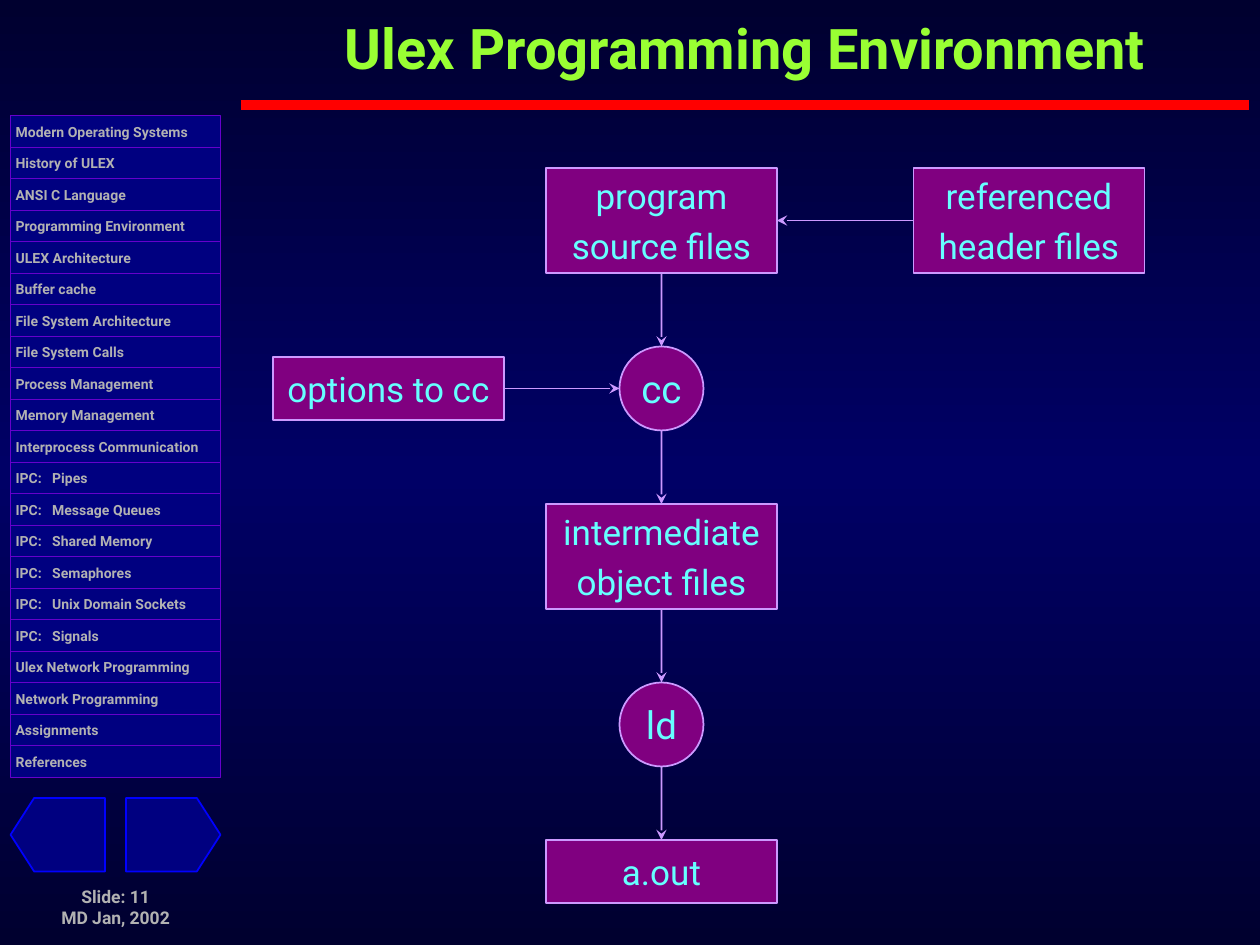
"""Build the Ulex Programming Environment slide on a grid of twelfths of an inch."""
from copy import deepcopy
from dataclasses import dataclass

from lxml import etree
from pptx import Presentation
from pptx import util as u
from pptx.dml.color import RGBColor
from pptx.enum import shapes, text
from pptx.oxml import ns

RECT, OVAL = shapes.MSO_SHAPE.RECTANGLE, shapes.MSO_SHAPE.OVAL
TOP, LEFT, BOTTOM, RIGHT = range(4)
SITES = {TOP: (0.5, 0), LEFT: (0, 0.5), BOTTOM: (0.5, 1), RIGHT: (1, 0.5)}
COLS, ROWS = 120, 90


@dataclass(frozen=True)
class Style:
    size: float
    color: str
    bold: bool = False
    align: text.PP_ALIGN = text.PP_ALIGN.CENTER
    anchor: text.MSO_ANCHOR = text.MSO_ANCHOR.MIDDLE
    insets: tuple[float, float, float, float] = (0.08, 0.06, 0.08, 0.06)
    wrap: bool = True
    gap: float = 0


@dataclass(frozen=True)
class Theme:
    font: str = "Roboto"
    backdrop: tuple[str, ...] = ("00002F", "000066", "00002F")
    rule: str = "FF0000"
    menu_fill: str = "000080"
    menu_line: str = "6600CC"
    button_line: str = "0000FF"
    node_fill: str = "800080"
    node_line: str = "CC99FF"
    title: Style = Style(32, "99FF33", True, insets=(0.04,) * 4)
    menu: Style = Style(8, "B2B2B2", True, text.PP_ALIGN.LEFT,
                        text.MSO_ANCHOR.TOP, (0.04, 0.06, 0.02, 0))
    footer: Style = Style(10, "B2B2B2", True, anchor=text.MSO_ANCHOR.TOP,
                          insets=(0.02, 0.03, 0.02, 0))
    box: Style = Style(20, "66FFFF", wrap=False, gap=5)
    circle: Style = Style(22, "66FFFF", wrap=False)


@dataclass(frozen=True)
class Node:
    lines: tuple[str, ...]
    col: float
    row: float
    cols: float = 22
    rows: float = 10
    kind: shapes.MSO_SHAPE = RECT

    def site(self, side: int) -> tuple[float, float]:
        """Return the grid point in the middle of a side."""
        x, y = SITES[side]
        return self.col + x * self.cols, self.row + y * self.rows


THEME = Theme()
MENU = ("Modern Operating Systems", "History of ULEX", "ANSI C Language",
        "Programming Environment", "ULEX Architecture", "Buffer cache",
        "File System Architecture", "File System Calls", "Process Management",
        "Memory Management", "Interprocess Communication", "IPC:\tPipes",
        "IPC:\tMessage Queues", "IPC:\tShared Memory", "IPC:\tSemaphores",
        "IPC:\tUnix Domain Sockets", "IPC:\tSignals", "Ulex Network Programming",
        "Network Programming", "Assignments", "References")
NODES = {
    "source": Node(("program", "source files"), 52, 16),
    "headers": Node(("referenced", "header files"), 87, 16),
    "options": Node(("options to cc",), 26, 34, rows=6),
    "cc": Node(("cc",), 59, 33, 8, 8, OVAL),
    "objects": Node(("intermediate", "object files"), 52, 48),
    "ld": Node(("ld",), 59, 65, 8, 8, OVAL),
    "output": Node(("a.out",), 52, 80, rows=6),
}
FLOWS = (("headers", LEFT, "source", RIGHT), ("source", BOTTOM, "cc", TOP),
         ("options", RIGHT, "cc", LEFT), ("cc", BOTTOM, "objects", TOP),
         ("objects", BOTTOM, "ld", TOP), ("ld", BOTTOM, "output", TOP))
PENTAGON = ((0, 0), (6.75, 0), (9, 3.5), (6.75, 7), (0, 7))


def grid(*values: float) -> list[int]:
    """Turn grid units into lengths."""
    return [u.Inches(v / 12) for v in values]


def rgb(color: str) -> RGBColor:
    """Return the colour of a hex string."""
    return RGBColor.from_string(color)


def paint(sp, fill: str, line: str, width: float) -> None:
    """Fill and outline a shape without a shadow."""
    sp.shadow.inherit = False
    sp.fill.solid()
    sp.fill.fore_color.rgb = rgb(fill)
    sp.line.color.rgb = rgb(line)
    sp.line.width = u.Pt(width)


def write(sp, lines: tuple[str, ...], style: Style) -> None:
    """Put styled paragraphs into a shape."""
    tf = sp.text_frame
    frame = dict(zip(("margin_left", "margin_top", "margin_right", "margin_bottom"),
                     map(u.Inches, style.insets)))
    frame |= {"word_wrap": style.wrap, "vertical_anchor": style.anchor,
              "auto_size": text.MSO_AUTO_SIZE.NONE}
    for name, value in frame.items():
        setattr(tf, name, value)
    for i, line in enumerate(lines):
        p = tf.add_paragraph() if i else tf.paragraphs[0]
        p.alignment = style.align
        p.space_before = u.Pt(style.gap if i else 0)
        if "\t" in line:
            tabs = etree.SubElement(p._p.get_or_add_pPr(), ns.qn("a:tabLst"))
            etree.SubElement(tabs, ns.qn("a:tab"), pos=str(u.Inches(0.29)), algn="l")
        r = p.add_run()
        r.text = line
        r.font.color.rgb = rgb(style.color)
        font = {"name": THEME.font, "size": u.Pt(style.size), "bold": style.bold}
        for name, value in font.items():
            setattr(r.font, name, value)


def draw_line(s, start: tuple, end: tuple, color: str, width: float):
    """Draw a straight connector between two grid points."""
    line = s.shapes.add_connector(shapes.MSO_CONNECTOR.STRAIGHT, *grid(*start, *end))
    line.line.color.rgb = rgb(color)
    line.line.width = u.Pt(width)
    etree.SubElement(line._element.spPr, ns.qn("a:effectLst"))
    return line


def draw_node(s, node: Node):
    """Draw a box or circle of the flow chart."""
    sp = s.shapes.add_shape(node.kind, *grid(node.col, node.row, node.cols, node.rows))
    paint(sp, THEME.node_fill, THEME.node_line, 1)
    write(sp, node.lines, THEME.circle if node.kind == OVAL else THEME.box)
    return sp


def draw_flow(s, drawn: dict, source: str, out: int, target: str, into: int) -> None:
    """Draw an arrow between two nodes, joined to boxes."""
    a, b = NODES[source], NODES[target]
    line = draw_line(s, a.site(out), b.site(into), THEME.node_line, 1)
    etree.SubElement(line.line._get_or_add_ln(), ns.qn("a:tailEnd"), type="stealth")
    if a.kind == RECT:
        line.begin_connect(drawn[source], out)
    if b.kind == RECT:
        line.end_connect(drawn[target], into)


def draw_button(s, left: float, direction: int) -> None:
    """Draw a navigation pentagon pointing right (1) or left (-1)."""
    points = [tuple(grid(left + (x if direction > 0 else 9 - x), 76 + y)) for x, y in PENTAGON]
    builder = s.shapes.build_freeform(*points[0])
    builder.add_line_segments(points[1:], close=True)
    paint(builder.convert_to_shape(), THEME.menu_fill, THEME.button_line, 1)


def draw_backdrop(s) -> None:
    """Give the slide its three-stop vertical gradient."""
    fill = s.background.fill
    fill.gradient()
    fill.gradient_angle = 90
    stops = s._element.find(".//" + ns.qn("a:gsLst"))
    stops.append(deepcopy(stops[-1]))
    for stop, color, position in zip(fill.gradient_stops, THEME.backdrop, (0, 0.5, 1)):
        stop.color.rgb = rgb(color)
        stop.position = position


def main() -> None:
    """Build and save the slide."""
    prs = Presentation()
    prs.slide_width, prs.slide_height = grid(COLS, ROWS)
    s = prs.slides.add_slide(prs.slide_layouts[5])
    draw_backdrop(s)
    for i, label in enumerate(MENU):
        sp = s.shapes.add_shape(RECT, *grid(1, 11 + 3 * i, 20, 3))
        paint(sp, THEME.menu_fill, THEME.menu_line, 0.25)
        write(sp, (label,), THEME.menu)
    draw_line(s, (23, 10), (119, 10), THEME.rule, 6)
    draw_button(s, 1, -1)
    draw_button(s, 12, 1)
    write(s.shapes.add_textbox(*grid(1, 84, 20, 5)), ("Slide: 11", "MD Jan, 2002"), THEME.footer)
    title = s.shapes.title
    title.left, title.top, title.width, title.height = grid(23, 1, 96, 7)
    write(title, ("Ulex Programming Environment",), THEME.title)
    drawn = {name: draw_node(s, node) for name, node in NODES.items()}
    for flow in FLOWS:
        draw_flow(s, drawn, *flow)
    prs.save("out.pptx")


if __name__ == "__main__":
    main()
